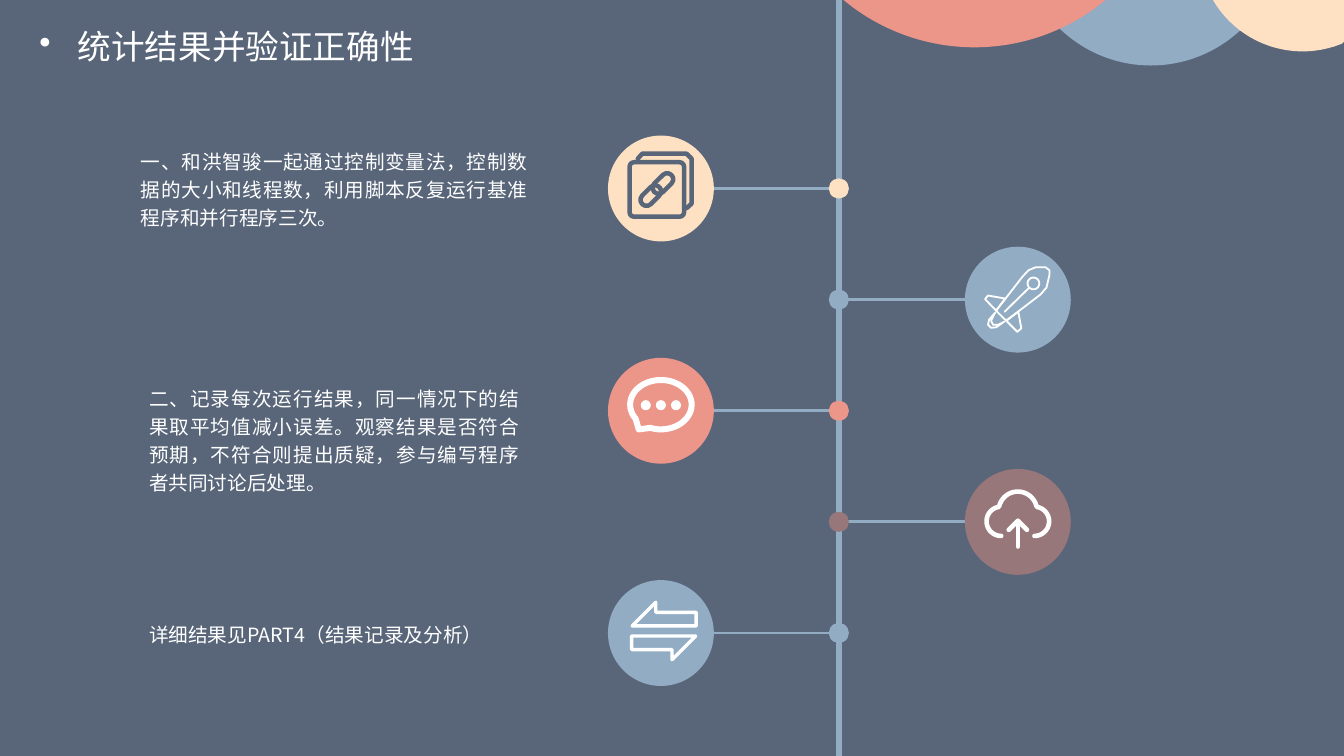
import math
from lxml import etree
from pptx import Presentation, util as u
from pptx.dml.color import RGBColor
from pptx.enum import shapes, text
from pptx.oxml import ns

NIGHT = RGBColor(0x59, 0x66, 0x7A)
BLUE = RGBColor(0x92, 0xAC, 0xC4)
CORAL = RGBColor(0xEC, 0x95, 0x89)
CREAM = RGBColor(0xFE, 0xE1, 0xC2)
MAUVE = RGBColor(0x98, 0x77, 0x7B)
WHITE = RGBColor(0xFF, 0xFF, 0xFF)
FONT = "Noto Sans CJK SC"

WIDTH, HEIGHT = 13.33, 7.5
RAIL, LEFT, RIGHT = 8.32, 6.555, 10.095
ROWS = [1.87 + 1.1025 * row for row in range(5)]
BADGE, NODE = 1.05, 0.2

presentation = Presentation()
presentation.slide_width = u.Inches(WIDTH)
presentation.slide_height = u.Inches(HEIGHT)
slide = presentation.slides.add_slide(presentation.slide_layouts[5])
slide.background.fill.solid()
slide.background.fill.fore_color.rgb = NIGHT


def arc(x, y, radius_x, radius_y, start, end, steps=48):
    angles = [math.radians(start + (end - start) * i / steps) for i in range(steps + 1)]
    return [(x + radius_x * math.cos(a), y + radius_y * math.sin(a)) for a in angles]


def draw_path(center, contours, color, stroke=None):
    contours = [[(u.Inches(center[0] + x / 100), u.Inches(center[1] + y / 100))
                 for x, y in contour] for contour in contours]
    builder = slide.shapes.build_freeform(*contours[0][0])
    for contour in contours:
        builder.move_to(*contour[0])
        builder.add_line_segments(contour[1:], close=stroke is None)
    shape = builder.convert_to_shape()
    shape.shadow.inherit = False
    if stroke is None:
        shape.fill.solid()
        shape.fill.fore_color.rgb = color
        shape.line.fill.background()
        return
    shape.fill.background()
    shape.line.color.rgb = color
    shape.line.width = u.Pt(stroke)
    outline = shape._element.spPr.find(ns.qn("a:ln"))
    outline.set("cap", "rnd")
    etree.SubElement(outline, ns.qn("a:round"))


for center_x, radius, depth, color in [
    (11.415, 130, 65, BLUE), (9.665, 203, 47, CORAL), (12.92, 103, 51, CREAM),
]:
    edge = (WIDTH - center_x) * 100
    angle = math.degrees(math.asin((radius - depth) / radius))
    cap = arc(0, depth - radius, radius, radius, angle, 180 - angle)
    draw_path((center_x, 0), [[(min(x, edge), y) for x, y in cap]], color)

badges = list(zip([LEFT, RIGHT, LEFT, RIGHT, LEFT], ROWS, [CREAM, BLUE, CORAL, MAUVE, BLUE]))

lines = [(RAIL, 0, RAIL, HEIGHT, 4)]
lines += [(RAIL, y, x, y, 2) for x, y, color in badges]
for x1, y1, x2, y2, stroke in lines:
    connector = slide.shapes.add_connector(
        shapes.MSO_CONNECTOR.STRAIGHT, *map(u.Inches, (x1, y1, x2, y2)))
    connector.line.color.rgb = BLUE
    connector.line.width = u.Pt(stroke)
    etree.SubElement(connector._element.spPr, ns.qn("a:effectLst"))

discs = [(RAIL, y, NODE, color) for x, y, color in badges]
discs += [(x, y, BADGE, color) for x, y, color in badges]
discs += [(LEFT + dx, ROWS[2] - 0.055, 0.1, WHITE) for dx in (-0.15, 0, 0.15)]
for x, y, size, color in discs:
    shape = slide.shapes.add_shape(
        shapes.MSO_SHAPE.OVAL, *map(u.Inches, (x - size / 2, y - size / 2, size, size)))
    shape.shadow.inherit = False
    shape.fill.solid()
    shape.fill.fore_color.rgb = color
    shape.line.fill.background()

for dx, dy, width, height, corner, rotation in [
    (-0.04, 0.01, 0.54, 0.54, 0.08, 0),
    (-0.1, 0.07, 0.24, 0.12, 0.5, -45),
    (0.02, -0.05, 0.24, 0.12, 0.5, -45),
]:
    shape = slide.shapes.add_shape(
        shapes.MSO_SHAPE.ROUNDED_RECTANGLE,
        *map(u.Inches, (LEFT + dx - width / 2, ROWS[0] + dy - height / 2, width, height)))
    shape.adjustments[0] = corner
    shape.rotation = rotation
    shape.shadow.inherit = False
    shape.fill.background()
    shape.line.color.rgb = NIGHT
    shape.line.width = u.Pt(3.2)

back_page = [(-23, -29.5), (-18.5, -34.5), (25.5, -34.5), (30.5, -29.5), (30.5, 15), (25.5, 19.5)]

rocket = [
    [(-11.5, 21), (-21.5, 11), (4.5, -22.5), (10.5, -29), (17.5, -32), (27.5, -32),
     (31.5, -29), (31.5, -25), (28.5, -12), (22.5, -5), (-11.5, 21)],
    [(-21.5, 11), (-32.5, -0.5), (-29.5, -4), (-12.5, -1), (-21.5, 11)],
    [(-11.5, 21), (-0.5, 32), (3.5, 28.5), (0.5, 12), (-11.5, 21)],
    [(-22.5, 13), (-28.5, 20), (-29.5, 25), (-26.5, 28), (-21.5, 27.5), (-13.5, 22),
     (-19.5, 25), (-24.5, 25), (-26.5, 21), (-22.5, 13)],
    arc(15.5, -16, 5.8, 5.8, 0, 360),
    [(-13, 12), (11.5, -12)],
]

bubble = arc(0, -6, 30.5, 24.5, 145, 470)
bubble += [(-22, 18.5), bubble[0]]

cloud = [
    arc(-16.5, -0.5, 14.5, 14.5, 90, 262) + arc(0, -11, 19, 19, 193, 347)
    + arc(16.5, -0.5, 14.5, 14.5, 278, 450),
    [(0, 24.5), (0, -1)],
    [(-9, 8), (0, -1), (9, 8)],
]

right_arrow = [(-29, 3), (34.5, 3), (11, 26.5), (11, 16.5), (-29, 16.5), (-29, 3)]
left_arrow = [(6 - x, -4 - y) for x, y in right_arrow]

icons = [
    ([back_page], NIGHT, 3.2), (rocket, WHITE, 1.3), ([bubble], WHITE, 4.3),
    (cloud, WHITE, 3.3), ([right_arrow, left_arrow], WHITE, 2.4),
]
for (x, y, color), (contours, ink, stroke) in zip(badges, icons):
    draw_path((x, y), contours, ink, stroke)

title = slide.shapes.title
title.text_frame.margin_left = 0
blocks = [(title, 0.39, 0.21, 4.68, 0.5, 24, 1, "统计结果并验证正确性")]
for left, top, width, height, words in [
    (1.3, 1.39, 4.03, 0.95,
     "一、和洪智骏一起通过控制变量法，控制数据的大小和线程数，利用脚本反复运行基准程序和并行程序三次。"),
    (1.38, 3.74, 3.87, 1.23,
     "二、记录每次运行结果，同一情况下的结果取平均值减小误差。观察结果是否符合预期，不符合则提出质疑，参与编写程序者共同讨论后处理。"),
    (1.38, 6.08, 3.95, 0.38, "详细结果见PART4（结果记录及分析）"),
]:
    box = slide.shapes.add_textbox(0, 0, 0, 0)
    blocks.append((box, left, top, width, height, 14, 1.2, words))

for shape, left, top, width, height, size, spacing, words in blocks:
    shape.left, shape.top, shape.width, shape.height = map(u.Inches, (left, top, width, height))
    frame = shape.text_frame
    frame.word_wrap = True
    frame.auto_size = text.MSO_AUTO_SIZE.NONE
    frame.vertical_anchor = text.MSO_ANCHOR.TOP
    frame.text = words
    paragraph = frame.paragraphs[0]
    paragraph.alignment = text.PP_ALIGN.JUSTIFY
    paragraph.line_spacing = spacing
    paragraph.font.size = u.Pt(size)
    paragraph.font.name = FONT
    paragraph.font.color.rgb = WHITE
    defaults = paragraph._p.pPr.find(ns.qn("a:defRPr"))
    etree.SubElement(defaults, ns.qn("a:ea")).set("typeface", FONT)

properties = title.text_frame.paragraphs[0]._p.pPr
properties.set("marL", str(u.Inches(0.38)))
properties.set("indent", str(-u.Inches(0.38)))
bullet = etree.Element(ns.qn("a:buChar"), char="•")
properties.find(ns.qn("a:defRPr")).addprevious(bullet)

presentation.save("out.pptx")
